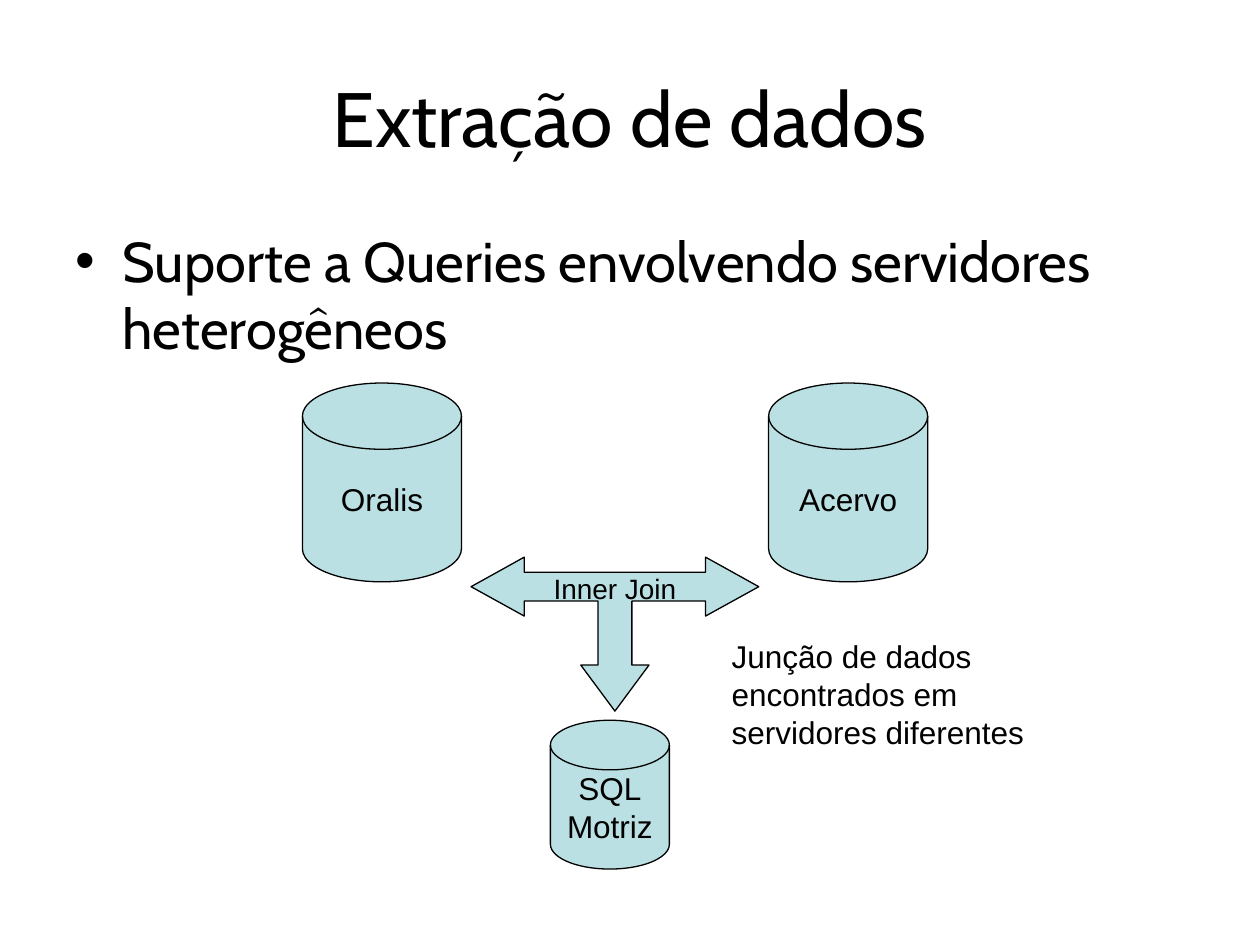
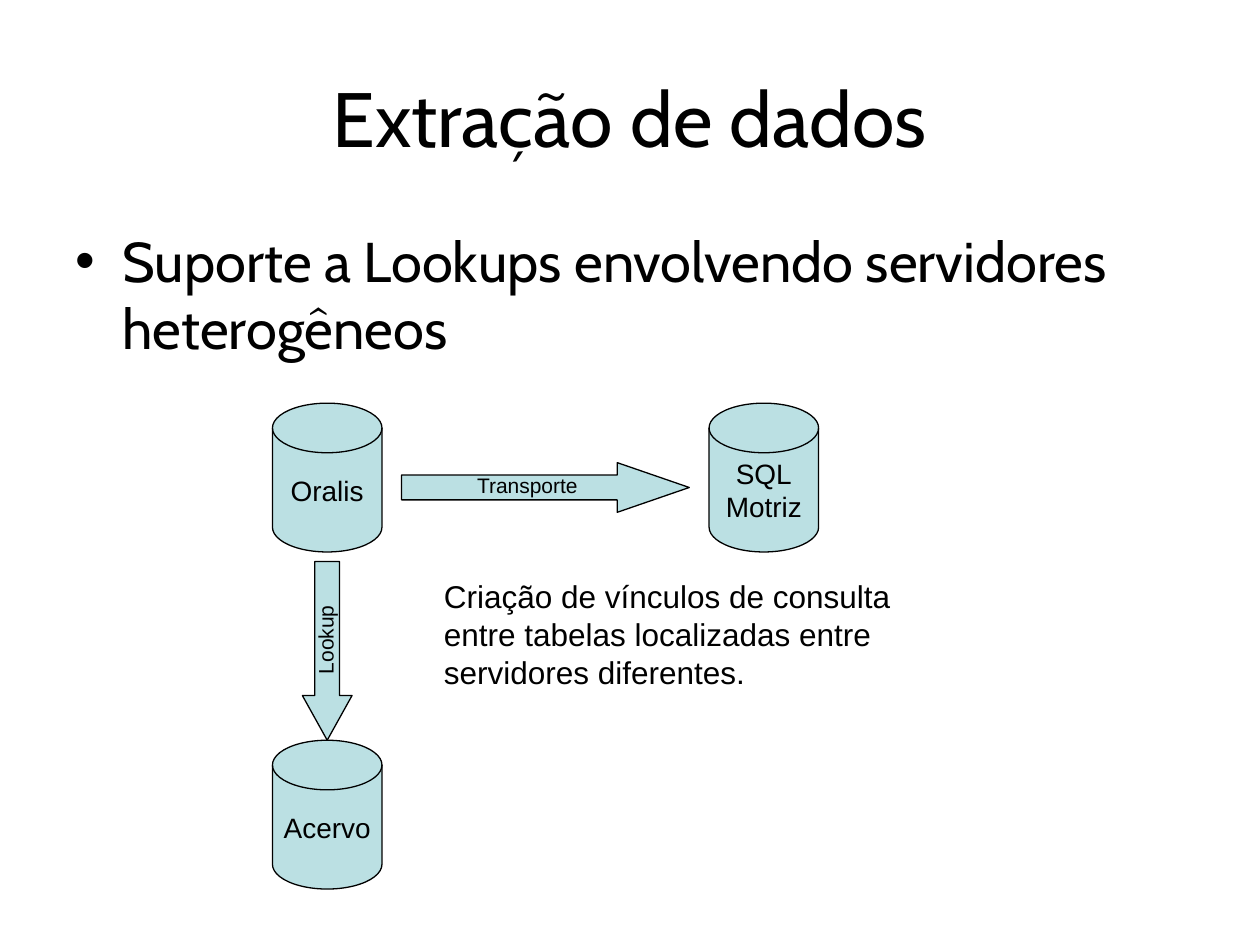
from dataclasses import dataclass

from pptx import Presentation
from pptx.dml.color import RGBColor
from pptx.enum.shapes import MSO_SHAPE as SHAPE
from pptx.enum.text import MSO_ANCHOR as ANCHOR, PP_ALIGN as ALIGN
from pptx.oxml.ns import qn
from pptx.util import Pt
from lxml.etree import SubElement

INK, FILL = "000000", "BBE0E3"
HEAD_FONT, LABEL_FONT = "Cabin", "Arial"
TITLE = "Extração de dados"
BULLET_INDENT = 27
DESCENDER_LIFT = 2.2


@dataclass
class Box:
    """A position and size in points."""
    left: float
    top: float
    width: float
    height: float


@dataclass
class Arrow:
    """A labelled block arrow."""
    kind: SHAPE
    text: str
    box: Box
    head: float
    vertical: bool = False


def color(value: str) -> RGBColor:
    """Turn a hex string into a colour."""
    return RGBColor.from_string(value)


def place(box: Box) -> tuple:
    """Return the box's position and size as lengths."""
    return Pt(box.left), Pt(box.top), Pt(box.width), Pt(box.height)


def write(tf, text: str, size: float, font: str, align=ALIGN.LEFT) -> None:
    """Fill a text frame and format its runs."""
    tf.text = text
    for p in tf.paragraphs:
        p.alignment = align
        for r in p.runs:
            r.font.size, r.font.name = Pt(size), font
            r.font.color.rgb = color(INK)


def add_text(s, text: str, box: Box, size: float, font: str, align=ALIGN.LEFT,
             anchor=ANCHOR.TOP):
    """Add a wrapped text box and return its frame."""
    tf = s.shapes.add_textbox(*place(box)).text_frame
    tf.word_wrap = True
    tf.vertical_anchor = anchor
    write(tf, text, size, font, align)
    return tf


def add_bullet(p) -> None:
    """Give a paragraph a hanging round bullet."""
    pPr = p._p.get_or_add_pPr()
    pPr.set("marL", str(Pt(BULLET_INDENT)))
    pPr.set("indent", str(-Pt(BULLET_INDENT)))
    SubElement(pPr, qn("a:buFont"), typeface=LABEL_FONT)
    SubElement(pPr, qn("a:buChar"), char="•")


def add_base(prs, topic: str):
    """Add a slide with the shared title and one bullet."""
    s = prs.slides.add_slide(prs.slide_layouts[6])
    add_text(s, TITLE, Box(36, 21.6, 648, 90), 44, HEAD_FONT, ALIGN.CENTER, ANCHOR.MIDDLE)
    tf = add_text(s, f"Suporte a {topic} envolvendo servidores heterogêneos",
                  Box(36, 126, 648, 356.4), 32, HEAD_FONT)
    add_bullet(tf.paragraphs[0])
    return s


def label(sp, text: str, size: float, anchor=ANCHOR.MIDDLE) -> None:
    """Paint a shape and write its centred label."""
    sp.shadow.inherit = False
    sp.fill.solid()
    sp.fill.fore_color.rgb = color(FILL)
    sp.line.color.rgb = color(INK)
    sp.line.width = Pt(0.75)
    tf = sp.text_frame
    tf.word_wrap = False
    tf.vertical_anchor = anchor
    write(tf, text, size, LABEL_FONT, ALIGN.CENTER)


def add_disk(s, text: str, box: Box, size: float) -> None:
    """Draw a database cylinder."""
    label(s.shapes.add_shape(SHAPE.FLOWCHART_MAGNETIC_DISK, *place(box)), text, size)


def add_arrow(s, arrow: Arrow) -> None:
    """Draw a block arrow whose label stays inside the shaft."""
    sp = s.shapes.add_shape(arrow.kind, *place(arrow.box))
    sp.adjustments[0], sp.adjustments[1] = 0.5, arrow.head
    label(sp, arrow.text, 12)
    tf = sp.text_frame
    if arrow.vertical:
        tf._txBody.bodyPr.set("vert", "vert270")
        tf.margin_left, tf.margin_right = Pt(0), Pt(DESCENDER_LIFT)
    else:
        tf.margin_top, tf.margin_bottom = Pt(0), Pt(DESCENDER_LIFT)


def add_join_arrow(s, text: str, center: float, top: float) -> None:
    """Draw the three-headed arrow, mirrored about its centre."""
    right = [(51.8, 8.6), (51.8, 0), (82.2, 16.9), (51.8, 33.7), (51.8, 25.1),
             (9.7, 25.1), (9.7, 61.7), (19.5, 61.7), (0, 88)]
    left = [(-x, y) for x, y in reversed(right[:-1])]
    points = [(Pt(center + x), Pt(top + y)) for x, y in right + left]
    builder = s.shapes.build_freeform(*points[0])
    builder.add_line_segments(points[1:], close=True)
    sp = builder.convert_to_shape()
    label(sp, text, 16, ANCHOR.TOP)
    sp.text_frame.margin_top = Pt(8)


def add_note(s, text: str, box: Box) -> None:
    """Add the explanation beside the diagram."""
    add_text(s, text, box, 18, LABEL_FONT)


def build_queries(prs) -> None:
    """Build the slide on joining two servers."""
    s = add_base(prs, "Queries")
    for text, left in (("Oralis", 172.8), ("Acervo", 439.2)):
        add_disk(s, text, Box(left, 218.9, 90.9, 113.6), 18)
    add_join_arrow(s, "Inner Join", 351.4, 318.4)
    add_disk(s, "SQL\nMotriz", Box(314.5, 411.6, 68, 85), 18)
    add_note(s, "Junção de dados encontrados em servidores diferentes",
             Box(411, 360.7, 226.8, 72))


def build_lookups(prs) -> None:
    """Build the slide on lookups between servers."""
    s = add_base(prs, "Lookups")
    for text, left, top in (("Oralis", 155.7, 230.4), ("Acervo", 155.7, 423),
                            ("SQL\nMotriz", 405.2, 230.4)):
        add_disk(s, text, Box(left, top, 62.6, 85), 16)
    for arrow in (
        Arrow(SHAPE.DOWN_ARROW, "Lookup", Box(172.8, 320.9, 28.4, 102.1), 0.9, True),
        Arrow(SHAPE.RIGHT_ARROW, "Transporte", Box(229.5, 264.4, 164.4, 28.4), 1.45),
    ):
        add_arrow(s, arrow)
    add_note(s, "Criação de vínculos de consulta entre tabelas localizadas "
                "entre servidores diferentes.", Box(246.6, 326.4, 283.7, 72))


def main() -> None:
    """Create the presentation."""
    prs = Presentation()
    prs.slide_width, prs.slide_height = Pt(720), Pt(540)
    build_queries(prs)
    build_lookups(prs)
    prs.save("out.pptx")


if __name__ == "__main__":
    main()
